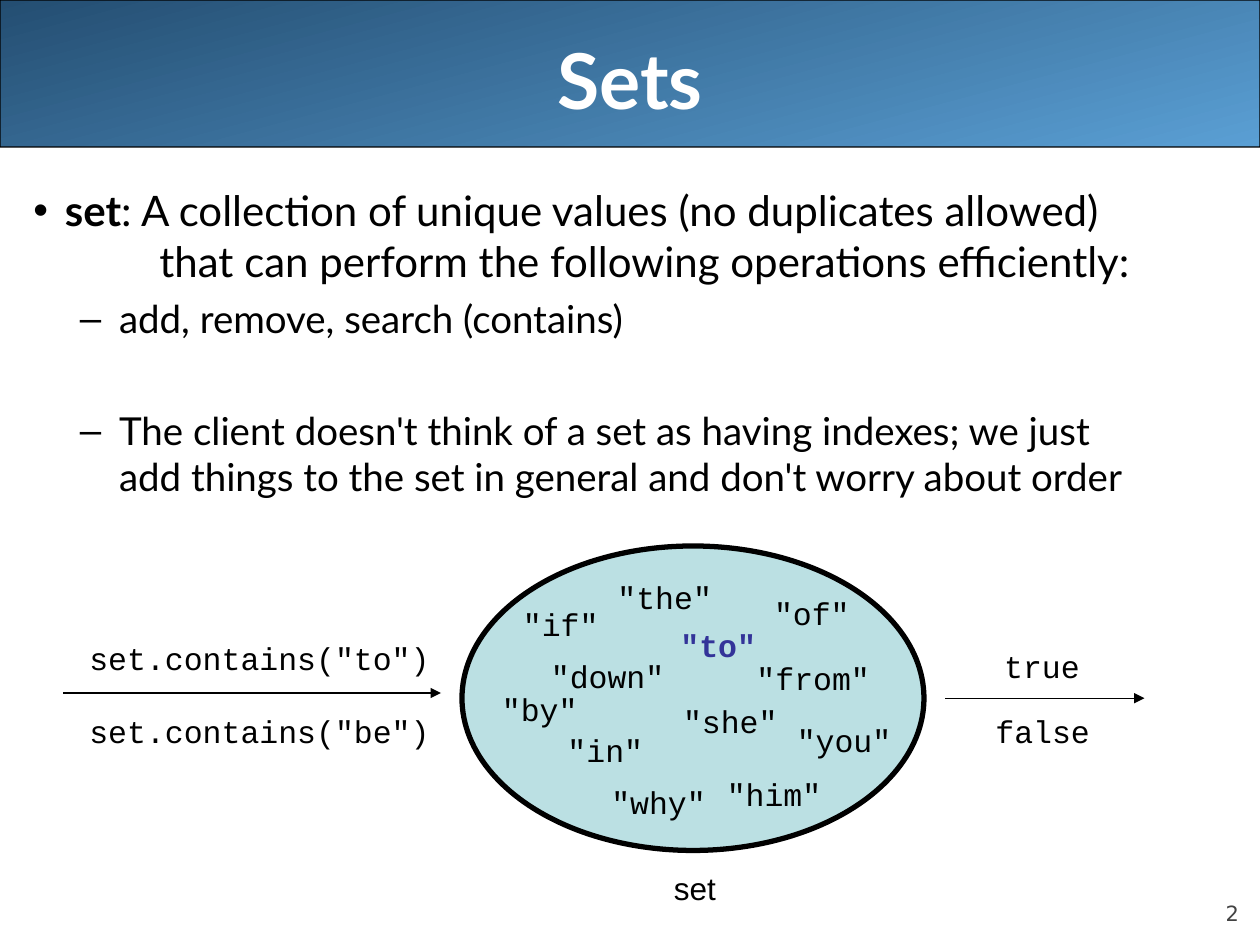
import dataclasses

import lxml.etree
import pptx
import pptx.dml.color
import pptx.enum.shapes
import pptx.enum.text
import pptx.oxml.ns
import pptx.util

Pt = pptx.util.Pt
qn = pptx.oxml.ns.qn
ALIGN = pptx.enum.text.PP_ALIGN
ANCHOR = pptx.enum.text.MSO_ANCHOR
SHAPE = pptx.enum.shapes.MSO_SHAPE


@dataclasses.dataclass(frozen=True)
class Theme:
    ink: str = "000000"
    white: str = "FFFFFF"
    muted: str = "424242"
    highlight: str = "333399"
    banner_start: str = "244E72"
    banner_end: str = "5A9FD4"
    ellipse: str = "BBE0E3"
    heading_font: str = "Lato"
    code_font: str = "Courier New"
    label_font: str = "Arial"
    number_font: str = "DejaVu Sans"
    title_size: float = 44
    body_size: float = 24
    sub_size: float = 22
    label_size: float = 18
    number_size: float = 12


def rgb(value):
    return pptx.dml.color.RGBColor.from_string(value)


def write_text(paragraph, text, *, font, size, color, bold=False, align=None):
    if align is not None:
        paragraph.alignment = align
    for index, line in enumerate(text.split("\n")):
        if index:
            paragraph.add_line_break()
        run = paragraph.add_run()
        run.text = line
        run.font.name = font
        run.font.size = Pt(size)
        run.font.bold = bold
        run.font.color.rgb = rgb(color)


class SlideBuilder:
    def __init__(self, slide, theme):
        self.slide = slide
        self.theme = theme

    def shape(self, kind, left, top, width, height, line_width):
        shape = self.slide.shapes.add_shape(kind, Pt(left), Pt(top), Pt(width), Pt(height))
        shape.shadow.inherit = False
        shape.line.color.rgb = rgb(self.theme.ink)
        shape.line.width = Pt(line_width)
        return shape

    def banner(self, width, height):
        shape = self.shape(SHAPE.ROUNDED_RECTANGLE, 0, 0, width, height, 0.75)
        shape.adjustments[0] = 0.001
        shape.fill.gradient()
        shape.fill.gradient_angle = 285
        colors = (self.theme.banner_start, self.theme.banner_end)
        for position, (stop, color) in enumerate(zip(shape.fill.gradient_stops, colors)):
            stop.position = position
            stop.color.rgb = rgb(color)
        self.slide.shapes.title.element.addprevious(shape.element)

    def title(self, text, left, top, width, height):
        title = self.slide.shapes.title
        title.left, title.top, title.width, title.height = map(Pt, (left, top, width, height))
        title.text_frame.vertical_anchor = ANCHOR.MIDDLE
        write_text(title.text_frame.paragraphs[0], text, font=self.theme.heading_font,
                   size=self.theme.title_size, color=self.theme.white, bold=True,
                   align=ALIGN.CENTER)

    def text_frame(self, left, top, width, height, wrap=True):
        box = self.slide.shapes.add_textbox(Pt(left), Pt(top), Pt(width), Pt(height))
        box.text_frame.word_wrap = wrap
        return box.text_frame

    def bullet(self, paragraph, character, margin, hanging, space_before):
        paragraph.space_before = Pt(space_before)
        properties = paragraph._p.get_or_add_pPr()
        properties.set("marL", str(Pt(margin)))
        properties.set("indent", str(-Pt(hanging)))
        color = lxml.etree.SubElement(properties, qn("a:buClr"))
        lxml.etree.SubElement(color, qn("a:srgbClr"), val=self.theme.ink)
        lxml.etree.SubElement(properties, qn("a:buFont"), typeface=self.theme.label_font)
        lxml.etree.SubElement(properties, qn("a:buChar"), char=character)
        tabs = lxml.etree.SubElement(properties, qn("a:tabLst"))
        lxml.etree.SubElement(tabs, qn("a:tab"), pos=str(Pt(72)), algn="l")

    def body(self, term, definition, points, left, top, width, height):
        frame = self.text_frame(left, top, width, height)
        style = {"font": self.theme.heading_font, "color": self.theme.ink}
        paragraph = frame.paragraphs[0]
        self.bullet(paragraph, "•", 18, 18, 6)
        write_text(paragraph, term, size=self.theme.body_size, bold=True, **style)
        write_text(paragraph, definition, size=self.theme.body_size, **style)
        for text, space_before in points:
            paragraph = frame.add_paragraph()
            self.bullet(paragraph, "–", 49, 22.5, space_before)
            write_text(paragraph, text, size=self.theme.sub_size, **style)

    def label(self, text, left, top, width, font, color, bold=False):
        frame = self.text_frame(left, top, width, 28.8, wrap=False)
        frame.auto_size = pptx.enum.text.MSO_AUTO_SIZE.SHAPE_TO_FIT_TEXT
        write_text(frame.paragraphs[0], text, font=font, size=self.theme.label_size,
                   color=color, bold=bold, align=ALIGN.RIGHT)

    def code(self, text, left, top, color=None, bold=False):
        width = len(text) * self.theme.label_size * 0.6 + 14.4
        self.label(text, left, top, width, self.theme.code_font,
                   color or self.theme.ink, bold)

    def ellipse(self, left, top, width, height):
        shape = self.shape(SHAPE.OVAL, left, top, width, height, 3)
        shape.fill.solid()
        shape.fill.fore_color.rgb = rgb(self.theme.ellipse)

    def arrow(self, start, end, y):
        arrow = self.slide.shapes.add_connector(
            pptx.enum.shapes.MSO_CONNECTOR.STRAIGHT, Pt(start), Pt(y), Pt(end), Pt(y))
        arrow.line.color.rgb = rgb(self.theme.ink)
        arrow.line.width = Pt(0.75)
        lxml.etree.SubElement(arrow.line._get_or_add_ln(), qn("a:tailEnd"), type="triangle")
        lxml.etree.SubElement(arrow._element.spPr, qn("a:effectLst"))

    def page_number(self, text, left, top, width, height):
        frame = self.text_frame(left, top, width, height)
        frame.margin_left = frame.margin_right = frame.margin_top = frame.margin_bottom = 0
        frame.vertical_anchor = ANCHOR.BOTTOM
        write_text(frame.paragraphs[0], text, font=self.theme.number_font,
                   size=self.theme.number_size, color=self.theme.muted, align=ALIGN.RIGHT)


def main():
    presentation = pptx.Presentation()
    presentation.slide_width = Pt(720)
    presentation.slide_height = Pt(540)
    slide = presentation.slides.add_slide(presentation.slide_layouts[5])
    theme = Theme()
    builder = SlideBuilder(slide, theme)

    builder.banner(720, 84)
    builder.title("Sets", 36, 0, 648, 90)
    builder.page_number("2", 648, 500.4, 60, 28.8)
    builder.body(
        "set",
        ": A collection of unique values (no duplicates allowed)\n"
        "\tthat can perform the following operations efficiently:",
        [
            ("add, remove, search (contains)", 5.5),
            ("The client doesn't think of a set as having indexes; we just\n"
             "add things to the set in general and don't worry about order", 37.5),
        ],
        12, 102, 708, 408)

    builder.arrow(36, 252, 396)
    builder.arrow(540, 654, 399)
    builder.ellipse(264, 312, 264, 174)
    builder.label("set", 378, 493, 38.2, theme.label_font, theme.ink)

    calls_and_results = [
        ('set.contains("to")', 43.8, 361.5), ('set.contains("be")', 43.8, 403.5),
        ("true", 566.5, 366), ("false", 561.5, 403.5),
    ]
    for text, left, top in calls_and_results:
        builder.code(text, left, top)

    words = [
        ("the", 345.5, 327), ("of", 435, 336), ("from", 425, 373), ("she", 383, 397.5),
        ("you", 448, 408.5), ("him", 408, 439.5), ("why", 342, 444), ("in", 317, 414),
        ("down", 307.5, 372), ("by", 279.5, 391), ("if", 291.5, 342),
    ]
    for word, left, top in words:
        builder.code(f'"{word}"', left, top)
    builder.code('"to"', 381.5, 354, color=theme.highlight, bold=True)

    presentation.save("out.pptx")


if __name__ == "__main__":
    main()
